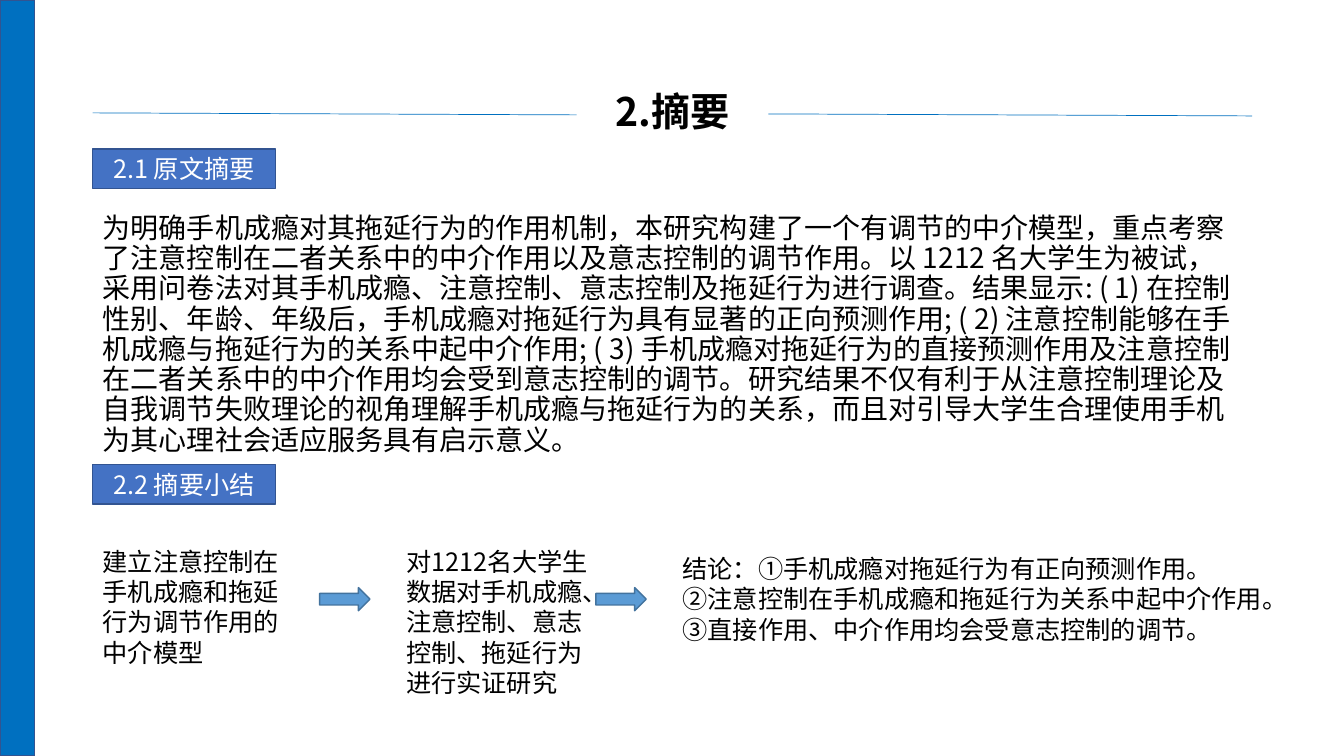
import pptx
import pptx.util
import pptx.dml.color
import pptx.enum.shapes
import pptx.enum.text
import pptx.oxml.ns
import lxml.etree
from dataclasses import dataclass

Inches, Pt = pptx.util.Inches, pptx.util.Pt
ALIGN = pptx.enum.text.PP_ALIGN
ANCHOR = pptx.enum.text.MSO_ANCHOR
SHAPE = pptx.enum.shapes.MSO_SHAPE

# Content
TITLE = "2.摘要"
ABSTRACT = (
    "为明确手机成瘾对其拖延行为的作用机制，本研究构建了一个有调节的中介模型，重点考察了注意控制在二者关系中的中介作用"
    "以及意志控制的调节作用。以 1212 名大学生为被试，采用问卷法对其手机成瘾、注意控制、意志控制及拖延行为进行调查。"
    "结果显示: ( 1) 在控制性别、年龄、年级后，手机成瘾对拖延行为具有显著的正向预测作用; "
    "( 2) 注意控制能够在手机成瘾与拖延行为的关系中起中介作用; "
    "( 3) 手机成瘾对拖延行为的直接预测作用及注意控制在二者关系中的中介作用均会受到意志控制的调节。"
    "研究结果不仅有利于从注意控制理论及自我调节失败理论的视角理解手机成瘾与拖延行为的关系，"
    "而且对引导大学生合理使用手机为其心理社会适应服务具有启示意义。"
)
SECTIONS = [("2.1 原文摘要", 1.48), ("2.2 摘要小结", 4.61)]  # label, top
STEPS = [  # left, top, width, height, paragraphs
    (0.92, 5.37, 2.07, 1.31, ["建立注意控制在手机成瘾和拖延行为调节作用的中介模型"]),
    (3.93, 5.37, 2.1, 1.62,
     ["对1212名大学生数据对手机成瘾、注意控制、意志控制、拖延行为进行实证研究"]),
    (6.67, 5.44, 6.19, 1.01,
     ["结论：①手机成瘾对拖延行为有正向预测作用。",
      "②注意控制在手机成瘾和拖延行为关系中起中介作用。③直接作用、中介作用均会受意志控制的调节。"]),
]
RULES = [(0.92, 1.12), (7.62, 1.13)]  # left end of each title rule
RULE_RUN, RULE_DROP = 4.8, 0.02
MARGIN, CONTENT_WIDTH = 0.92, 11.5
ARROW_WIDTH, ARROW_GAP = 0.5, 0.26


@dataclass(frozen=True)
class Theme:
    font: str = "Noto Sans CJK SC"
    text: str = "000000"
    on_fill: str = "FFFFFF"
    accent: str = "0070C0"
    label: str = "4472C4"
    edge: str = "325491"
    arrow: str = "5B9BD5"
    arrow_edge: str = "43739E"
    title_size: float = 28
    abstract_size: float = 20
    small_size: float = 18
    line_pitch: float = 21.6


theme = Theme()


def rgb(code):
    return pptx.dml.color.RGBColor.from_string(code)


def box(left, top, width, height):
    return [Inches(n) for n in (left, top, width, height)]


def write(shape, lines, size, color=theme.text, bold=False, align=ALIGN.LEFT,
          anchor=ANCHOR.TOP, spacing=None):
    frame = shape.text_frame
    frame.word_wrap = True
    frame.auto_size = pptx.enum.text.MSO_AUTO_SIZE.NONE
    frame.vertical_anchor = anchor
    frame.text = "\n".join(lines)
    for paragraph in frame.paragraphs:
        paragraph.alignment = align
        paragraph.line_spacing = spacing
        font = paragraph.font
        font.name, font.size, font.bold = theme.font, Pt(size), bold
        font.color.rgb = rgb(color)
        # East Asian typeface follows the Latin one
        for run in paragraph.runs:
            east_asian = lxml.etree.SubElement(
                run.font._element, pptx.oxml.ns.qn("a:ea"))
            east_asian.set("typeface", theme.font)


def place(shape, left, top, width, height):
    shape.left, shape.top, shape.width, shape.height = box(left, top, width, height)


def add_block(kind, bounds, fill, edge):
    block = slide.shapes.add_shape(kind, *box(*bounds))
    block.shadow.inherit = False
    block.fill.solid()
    block.fill.fore_color.rgb = rgb(fill)
    block.line.color.rgb = rgb(edge)
    block.line.width = Pt(1)
    return block


presentation = pptx.Presentation()
presentation.slide_width, presentation.slide_height = Inches(13.33), Inches(7.5)
slide = presentation.slides.add_slide(presentation.slide_layouts[1])

# Title and abstract
title, abstract = slide.placeholders
place(title, MARGIN, 0.4, CONTENT_WIDTH, 1.45)
write(title, [TITLE], theme.title_size, bold=True, align=ALIGN.CENTER,
      anchor=ANCHOR.MIDDLE, spacing=0.9)
place(abstract, MARGIN, 2.07, CONTENT_WIDTH, 2.73)
write(abstract, [ABSTRACT], theme.abstract_size, spacing=Pt(theme.line_pitch))
abstract_paragraph = abstract.text_frame.paragraphs[0]
abstract_paragraph.space_before = Pt(10)
properties = abstract_paragraph._p.get_or_add_pPr()
properties.set("marL", "0")
properties.set("indent", "0")
no_bullet = lxml.etree.Element(pptx.oxml.ns.qn("a:buNone"))
properties.find(pptx.oxml.ns.qn("a:defRPr")).addprevious(no_bullet)

# Side band and title rules
add_block(SHAPE.RECTANGLE, (0, 0, 0.34, 7.5), theme.accent, theme.edge)
for left, top in RULES:
    rule = slide.shapes.add_connector(
        pptx.enum.shapes.MSO_CONNECTOR.STRAIGHT,
        *box(left, top, left + RULE_RUN, top + RULE_DROP))
    rule.line.color.rgb = rgb(theme.accent)
    rule.line.width = Pt(0.5)
    lxml.etree.SubElement(rule._element.spPr, pptx.oxml.ns.qn("a:effectLst"))

# Section labels
for label, top in SECTIONS:
    tag = add_block(SHAPE.RECTANGLE, (MARGIN, top, 1.81, 0.39), theme.label, theme.edge)
    write(tag, [label], theme.small_size, theme.on_fill, align=ALIGN.CENTER,
          anchor=ANCHOR.MIDDLE)

# Summary steps, each later one led in by an arrow
for index, (left, top, width, height, lines) in enumerate(STEPS):
    step = slide.shapes.add_textbox(*box(left, top, width, height))
    write(step, lines, theme.small_size, spacing=Pt(theme.line_pitch))
    if index:
        add_block(SHAPE.RIGHT_ARROW,
                  (left - ARROW_GAP - ARROW_WIDTH, 5.83, ARROW_WIDTH, 0.23),
                  theme.arrow, theme.arrow_edge)

presentation.save("out.pptx")
